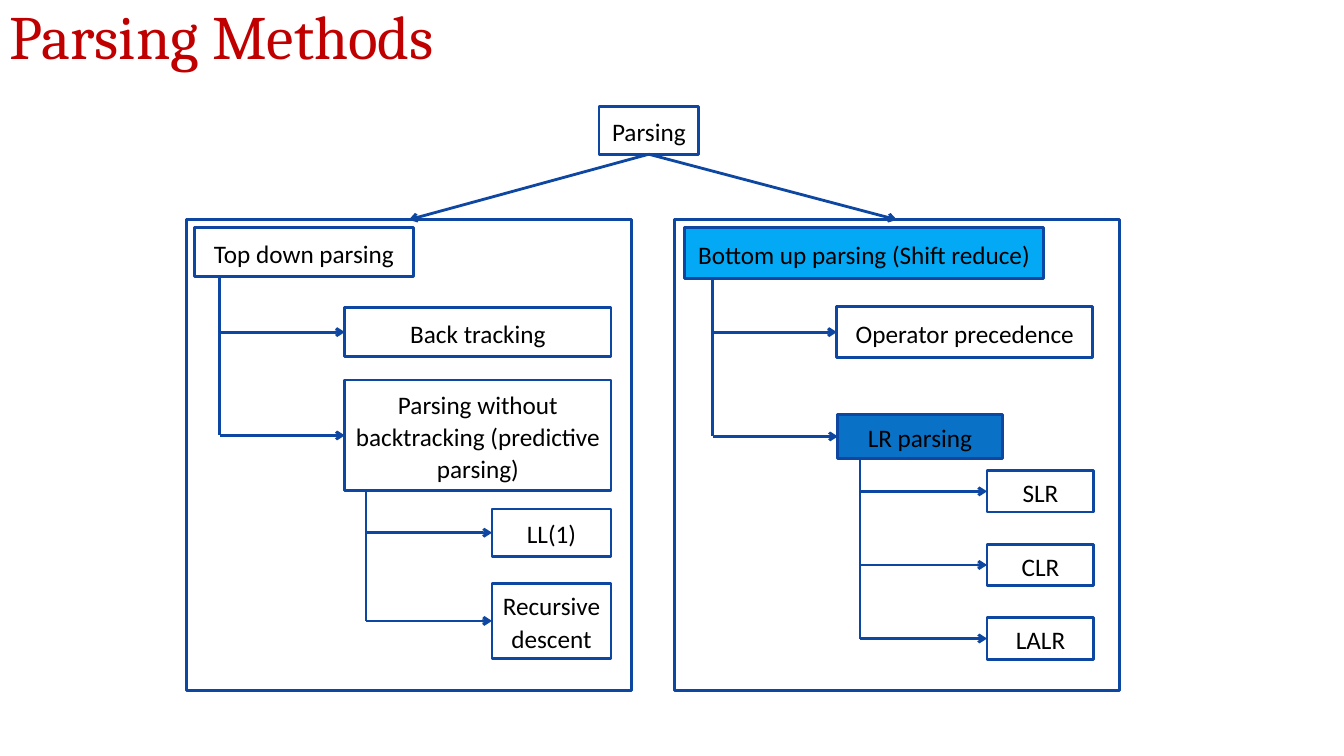
from lxml import etree
from pptx import Presentation
from pptx.dml.color import RGBColor
from pptx.enum.shapes import MSO_CONNECTOR, MSO_SHAPE
from pptx.enum.text import MSO_ANCHOR, PP_ALIGN
from pptx.oxml.ns import qn
from pptx.util import Inches, Pt

STRAIGHT = MSO_CONNECTOR.STRAIGHT
RECT = MSO_SHAPE.RECTANGLE
MIDDLE = MSO_ANCHOR.MIDDLE
CENTER = PP_ALIGN.CENTER

NAVY = RGBColor(0x0E, 0x47, 0xA1)
SKY = RGBColor(0x03, 0xA9, 0xF5)
BLUE = RGBColor(0x09, 0x72, 0xC6)
RED = RGBColor(0xC0, 0x00, 0x00)
BLACK = RGBColor(0x00, 0x00, 0x00)

BOTTOM, LEFT = 2, 1


def set_text(frame, text, size, face, color, spacing, align=None):
    frame.word_wrap = True
    frame.vertical_anchor = MIDDLE
    frame.text = text
    for para in frame.paragraphs:
        para.alignment = align
        para.line_spacing = spacing
        para.font.size = Pt(size)
        para.font.name = face
        para.font.color.rgb = color


def add_title(slide, text):
    box = slide.shapes.add_textbox(0, 0, Inches(13.33), Inches(0.78))
    set_text(box.text_frame, text, 44, "Cambria", RED, 0.9)


def add_box(slide, left, top, width, height, text="", fill=None):
    box = slide.shapes.add_shape(
        RECT, Inches(left), Inches(top), Inches(width), Inches(height))
    box.shadow.inherit = False
    box.line.color.rgb = NAVY
    box.line.width = Pt(2)
    if fill is None:
        box.fill.background()
    else:
        box.fill.solid()
        box.fill.fore_color.rgb = fill
    if text:
        set_text(box.text_frame, text, 18, "Calibri", BLACK, 1.07, CENTER)
    return box


def add_line(slide, start, end, arrow=False):
    line = slide.shapes.add_connector(STRAIGHT, *start, *end)
    line.line.color.rgb = NAVY
    line.line.width = Pt(2)
    etree.SubElement(line._element.spPr, qn("a:effectLst"))
    if arrow:
        tail = etree.SubElement(line.line._get_or_add_ln(), qn("a:tailEnd"))
        tail.set("type", "arrow")
    return line


def middle(box):
    return box.top + box.height // 2


def add_branch(slide, parent, trunk, kids):
    """Drop a trunk from the parent, with an arrow to the side of each kid."""
    x = Inches(trunk)
    add_line(slide, (x, parent.top + parent.height), (x, middle(kids[-1])))
    for kid in kids:
        y = middle(kid)
        arrow = add_line(slide, (x, y), (kid.left, y), arrow=True)
        arrow.end_connect(kid, LEFT)


def add_fork(slide, root, panels):
    for panel in panels:
        start = (root.left + root.width // 2, root.top + root.height)
        end = (panel.left + panel.width // 2, panel.top)
        arrow = add_line(slide, start, end, arrow=True)
        arrow.begin_connect(root, BOTTOM)
        arrow.end_connect(panel, 0)


def add_top_down(slide):
    head = add_box(slide, 1.93, 2.26, 2.17, 0.48, "Top down parsing")
    back = add_box(slide, 3.42, 3.05, 2.64, 0.49, "Back tracking")
    ahead = add_box(slide, 3.42, 3.77, 2.64, 1.1,
                    "Parsing without backtracking (predictive parsing)")
    table = add_box(slide, 4.88, 5.05, 1.18, 0.47, "LL(1)")
    descent = add_box(slide, 4.88, 5.79, 1.18, 0.74, "Recursive\ndescent")
    add_branch(slide, head, 2.18, [back, ahead])
    add_branch(slide, ahead, 3.63, [table, descent])


def add_bottom_up(slide):
    head = add_box(slide, 6.79, 2.26, 3.56, 0.5,
                   "Bottom up parsing (Shift reduce)", SKY)
    order = add_box(slide, 8.3, 3.04, 2.54, 0.51, "Operator precedence")
    shift = add_box(slide, 8.31, 4.11, 1.63, 0.44, "LR parsing", BLUE)
    kinds = [add_box(slide, 9.79, top, 1.06, 0.41, name)
             for name, top in (("SLR", 4.67), ("CLR", 5.4), ("LALR", 6.13))]
    add_branch(slide, head, 7.07, [order, shift])
    add_branch(slide, shift, 8.53, kinds)


def main():
    deck = Presentation()
    deck.slide_width = Inches(13.33)
    deck.slide_height = Inches(7.5)
    slide = deck.slides.add_slide(deck.slide_layouts[6])

    add_title(slide, "Parsing Methods")
    root = add_box(slide, 5.94, 1.06, 0.99, 0.47, "Parsing")
    panels = [add_box(slide, left, 2.18, 4.41, 4.67) for left in (1.85, 6.69)]
    add_fork(slide, root, panels)
    add_top_down(slide)
    add_bottom_up(slide)
    deck.save("out.pptx")


if __name__ == "__main__":
    main()
